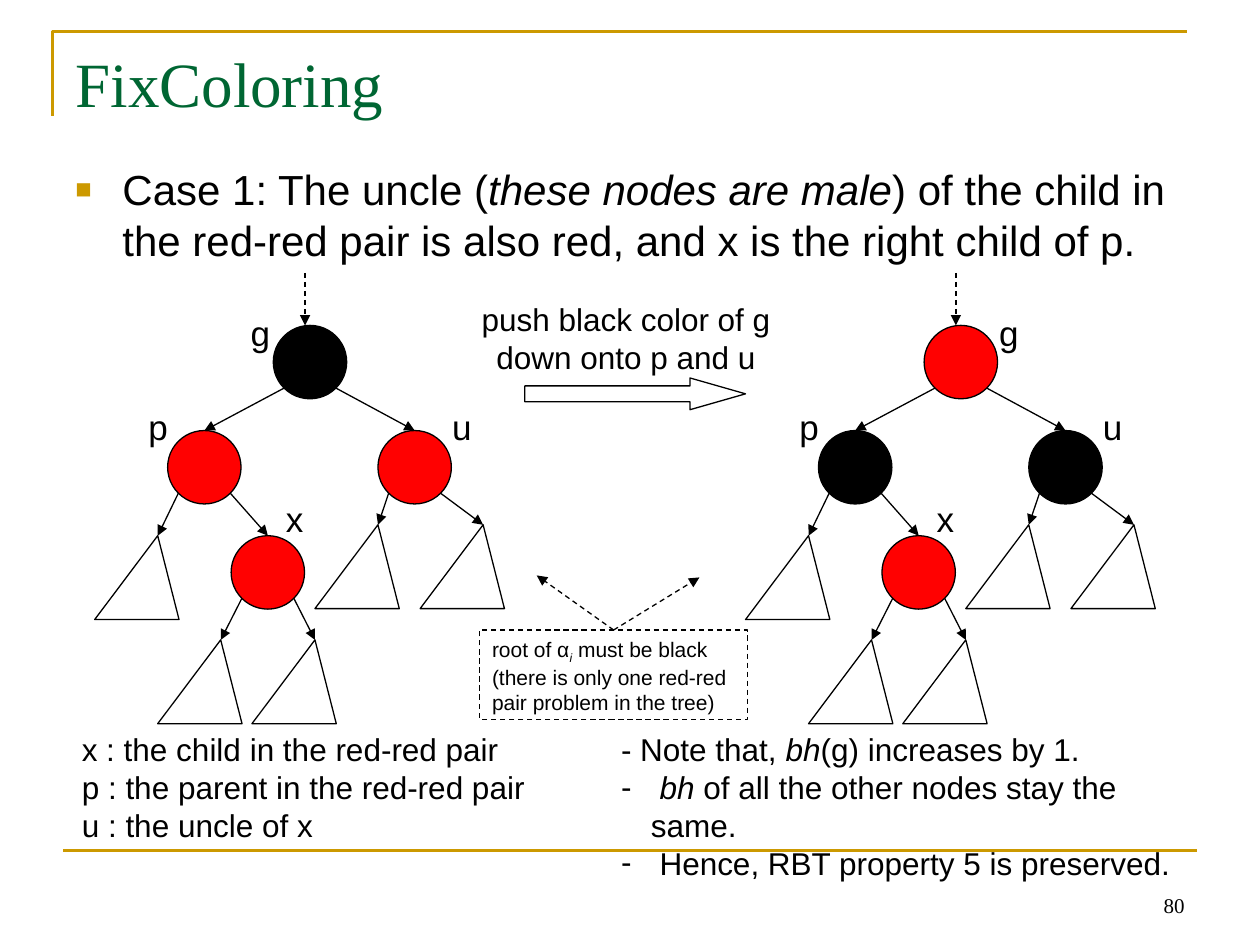
from lxml import etree
from pptx import Presentation
from pptx.dml.color import RGBColor
from pptx.enum import dml, shapes, text
from pptx.oxml.ns import qn
from pptx.util import Cm, Pt

BLACK, RED, GOLD, GREEN = "000000", "FF0101", "CC9900", "006633"
LEFT, CENTER, RIGHT = text.PP_ALIGN.LEFT, text.PP_ALIGN.CENTER, text.PP_ALIGN.RIGHT

# Content: a paragraph is a list of (text, font overrides) runs
ITALIC = {"italic": True}
TITLE = "FixColoring"
CASE = [[("Case 1: The uncle (", {}), ("these nodes are male", ITALIC),
         (") of the child in the red-red pair is also red, "
          "and x is the right child of p.", {})]]
LEGEND = [[("x : the child in the red-red pair", {})],
          [("p : the parent in the red-red pair", {})],
          [("u : the uncle of x", {})]]
NOTES = [[("- Note that, ", {}), ("bh", ITALIC), ("(g) increases by 1.", {})],
         [(" bh ", ITALIC), ("of all the other nodes stay the same.", {})],
         [(" Hence, RBT property 5 is preserved.", {})]]
STEP = [[("push black color of g ", {})], [("down onto p and u", {})]]
ROOT_RULE = [[("root of α", {}), ("i", {"italic": True, "baseline": -25000}),
              (" must be black (there is only one red-red pair problem in the tree)", {})]]

# Tree geometry in cm: node centres, subtree tips, and edges (parent, side, child)
RADIUS = 0.74
NODES = {"g": (6.25, 7.3), "p": (4.12, 9.42), "u": (8.36, 9.42), "x": (5.4, 11.54)}
TIPS = {"p1": (3.18, 10.8), "x1": (4.45, 12.9), "x2": (6.35, 12.9),
        "u1": (7.62, 10.58), "u2": (9.74, 10.58)}
EDGES = [("g", -1, "p"), ("g", 1, "u"), ("p", -1, "p1"), ("p", 1, "x"),
         ("u", -1, "u1"), ("u", 1, "u2"), ("x", -1, "x1"), ("x", 1, "x2")]
LABELS = {"p": (2.74, 8.05), "u": (8.86, 8.05), "x": (5.49, 9.91)}
# Each tree: left shift, black nodes, position of the g label
TREES = [(0, "g", (4.8, 6.15)), (13.12, "pu", (6.77, 6.15))]


def rgb(value):
    return RGBColor.from_string(value)


def style(shape, fill=None, line=BLACK, width=0.75, dashed=False):
    shape.shadow.inherit = False
    if fill:
        shape.fill.solid()
        shape.fill.fore_color.rgb = rgb(fill)
    else:
        shape.fill.background()
    style_line(shape.line, line, width, dashed)


def style_line(line, color=BLACK, width=0.75, dashed=False):
    line.color.rgb = rgb(color)
    line.width = Pt(width)
    if dashed:
        line.dash_style = dml.MSO_LINE.DASH


def connect(s, start, end, color=BLACK, width=0.75, dashed=False, arrow=True):
    c = s.shapes.add_connector(shapes.MSO_CONNECTOR.STRAIGHT,
                               *(Cm(v) for v in (*start, *end)))
    style_line(c.line, color, width, dashed)
    if arrow:
        etree.SubElement(c.line._get_or_add_ln(), qn("a:tailEnd"), type="triangle")
    etree.SubElement(c._element.spPr, qn("a:effectLst"))
    return c


def outline(s, points, closed=True, **look):
    pts = [(Cm(x), Cm(y)) for x, y in points]
    builder = s.shapes.build_freeform(*pts[0], scale=1.0)
    builder.add_line_segments(pts[1:], close=closed)
    style(builder.convert_to_shape(), **look)


def add_bullet(p, char, indent, color=None, size=None):
    pPr = p._p.get_or_add_pPr()
    pPr.set("marL", str(Cm(indent)))
    pPr.set("indent", str(-Cm(indent)))
    if color:
        clr = etree.SubElement(pPr, qn("a:buClr"))
        etree.SubElement(clr, qn("a:srgbClr"), val=color)
    if size:
        etree.SubElement(pPr, qn("a:buSzPct"), val=str(size * 1000))
    etree.SubElement(pPr, qn("a:buFont"), typeface="Arial")
    etree.SubElement(pPr, qn("a:buChar"), char=char)


def write(tf, paragraphs, size, align=LEFT, font="Arial", color=BLACK, wrap=True,
          anchor=text.MSO_ANCHOR.TOP):
    tf.word_wrap = wrap
    tf.vertical_anchor = anchor
    for i, runs in enumerate(paragraphs):
        p = tf.paragraphs[0] if i == 0 else tf.add_paragraph()
        p.alignment = align
        for words, extra in runs:
            r = p.add_run()
            r.text = words
            r.font.color.rgb = rgb(color)
            look = {"name": font, "size": Pt(size), "italic": False, **extra}
            baseline = look.pop("baseline", None)
            for name, value in look.items():
                setattr(r.font, name, value)
            if baseline:
                r.font._element.set("baseline", str(baseline))
    return tf


def add_text(s, box, paragraphs, size, **look):
    sp = s.shapes.add_textbox(*(Cm(v) for v in box))
    return write(sp.text_frame, paragraphs, size, **look)


def add_tree(s, shift, black, g_label):
    def moved(x, y):
        return x + shift, y

    gx, gy = moved(*NODES["g"])
    connect(s, (gx - 0.1, 5.5), (gx - 0.1, gy - RADIUS), dashed=True)
    for name, centre in NODES.items():
        x, y = moved(*centre)
        node = s.shapes.add_shape(shapes.MSO_SHAPE.OVAL, Cm(x - RADIUS), Cm(y - RADIUS),
                                  Cm(2 * RADIUS), Cm(2 * RADIUS))
        style(node, BLACK if name in black else RED)
    for tip in TIPS.values():
        x, y = moved(*tip)
        outline(s, [(x, y), (x - 1.27, y + 1.69), (x + 0.43, y + 1.69)])
    # Edges leave a node at its lower diagonal and reach the top of the child
    diagonal = RADIUS * 0.71
    for parent, side, child in EDGES:
        x, y = moved(*NODES[parent])
        cx, cy = moved(*(NODES.get(child) or TIPS[child]))
        top = cy - RADIUS if child in NODES else cy
        connect(s, (x + side * diagonal, y + diagonal), (cx, top))
    for name, place in {**LABELS, "g": g_label}.items():
        add_text(s, (*moved(*place), 0.9, 1.1), [[(name, {})]], 20,
                 align=CENTER, wrap=False)


def main():
    prs = Presentation()
    prs.slide_width, prs.slide_height = Cm(25.4), Cm(19.05)
    s = prs.slides.add_slide(prs.slide_layouts[5])

    # Frame, title and page number
    outline(s, [(1.06, 2.33), (1.06, 0.64), (23.92, 0.64)], closed=False,
            line=GOLD, width=1.5)
    connect(s, (1.27, 17.15), (24.13, 17.15), GOLD, 1.5, arrow=False)
    title = s.shapes.title
    title.left, title.top, title.width, title.height = Cm(1.27), Cm(0.76), Cm(22.86), Cm(3.18)
    write(title.text_frame, [[(TITLE, {})]], 36, font="Times New Roman", color=GREEN)
    add_text(s, (18.2, 17.35, 5.93, 1.27), [[("80", {})]], 12, align=RIGHT,
             font="Times New Roman", anchor=text.MSO_ANCHOR.BOTTOM)

    # Case statement
    tf = add_text(s, (1.27, 3.18, 22.86, 2.4), CASE, 24)
    add_bullet(tf.paragraphs[0], "■", 0.95, GOLD, 65)

    # Trees before and after, with the step between them
    for tree in TREES:
        add_tree(s, *tree)
    add_text(s, (9.37, 5.92, 6.5, 1.78), STEP, 18, align=CENTER, wrap=False)
    arrow = s.shapes.add_shape(shapes.MSO_SHAPE.RIGHT_ARROW,
                               Cm(10.58), Cm(7.62), Cm(4.45), Cm(0.64))
    arrow.adjustments[0], arrow.adjustments[1] = 0.5, 1.75
    style(arrow)

    # Rule about the subtree roots
    box = s.shapes.add_shape(shapes.MSO_SHAPE.RECTANGLE,
                             Cm(9.67), Cm(12.7), Cm(5.4), Cm(1.8))
    style(box, dashed=True)
    write(box.text_frame, ROOT_RULE, 12)
    for end in [(10.82, 11.6), (14.1, 11.64)]:
        c = connect(s, (12.37, 12.7), end, dashed=True)
        c.begin_connect(box, 0)

    # Legend and notes
    add_text(s, (1.4, 14.6, 9.45, 2.54), LEGEND, 18, wrap=False)
    tf = add_text(s, (12.27, 14.6, 12.1, 2.57), NOTES, 18)
    for p in tf.paragraphs[1:]:
        add_bullet(p, "-", 0.6)
    prs.save("out.pptx")


if __name__ == "__main__":
    main()
